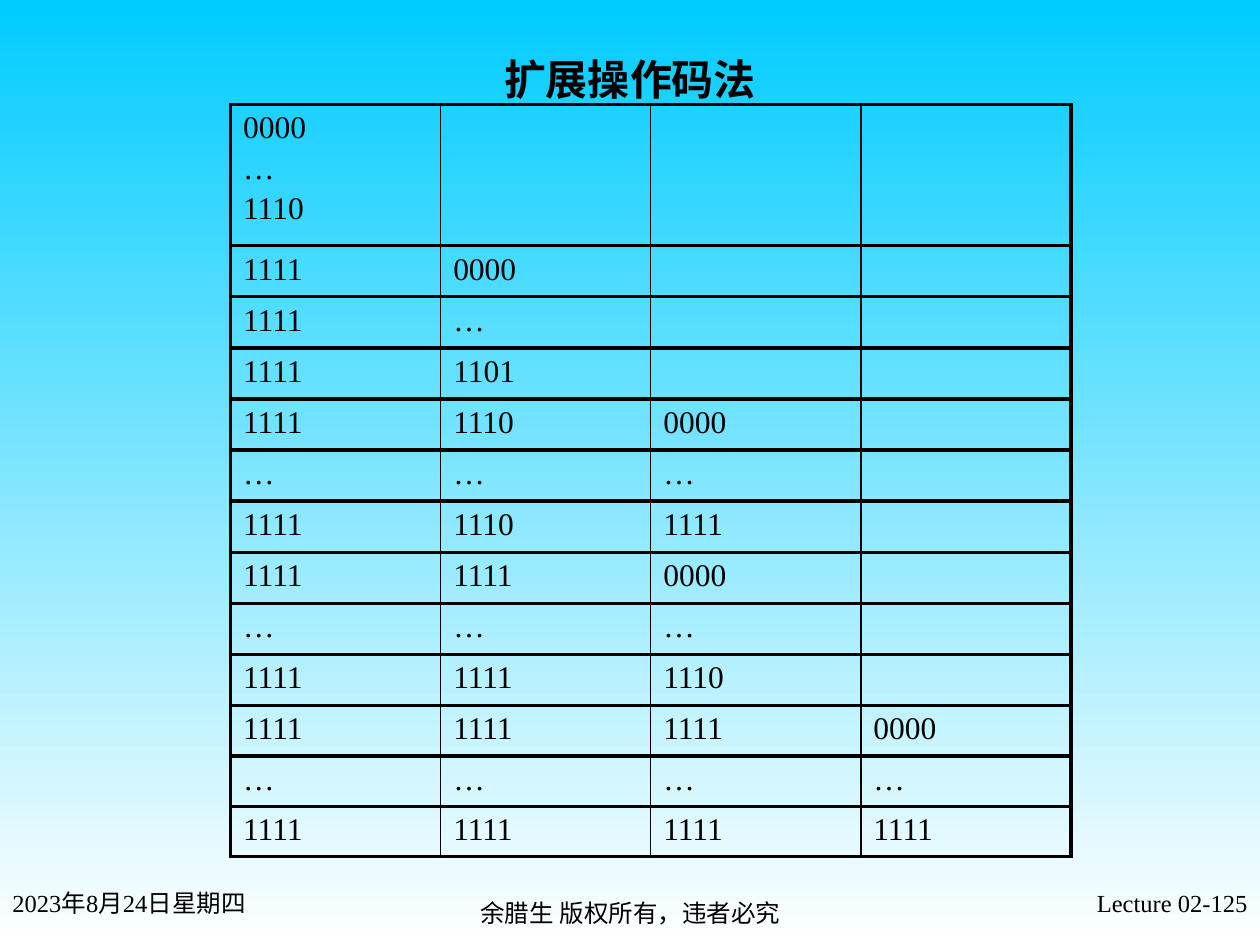
from lxml import etree
from pptx import Presentation
from pptx.dml.color import RGBColor
from pptx.enum.text import MSO_ANCHOR, PP_ALIGN
from pptx.oxml.ns import qn
from pptx.util import Inches, Pt

LEFT, CENTER, RIGHT = PP_ALIGN.LEFT, PP_ALIGN.CENTER, PP_ALIGN.RIGHT
MIDDLE = MSO_ANCHOR.MIDDLE
TITLE_ONLY_LAYOUT = 5
BLACK = "000000"
THICK, THIN = 2.25, 1

OPCODE_ROWS = [
    ["0000\n…\n1110"],
    ["1111", "0000"],
    ["1111", "…"],
    ["1111", "1101"],
    ["1111", "1110", "0000"],
    ["…"] * 3,
    ["1111", "1110", "1111"],
    ["1111", "1111", "0000"],
    ["…"] * 3,
    ["1111", "1111", "1110"],
    ["1111", "1111", "1111", "0000"],
    ["…"] * 4,
    ["1111"] * 4,
]


def color(value):
    return RGBColor.from_string(value)


class SlideBuilder:
    font_name = "Times New Roman"

    def __init__(self, slide):
        self.slide = slide

    def background(self, *colors):
        fill = self.slide.background.fill
        fill.gradient()
        fill.gradient_angle = 270
        for position, (stop, value) in enumerate(zip(fill.gradient_stops, colors)):
            stop.color.rgb = color(value)
            stop.position = position

    def set_text(self, text_frame, text, size, align=LEFT, bold=False):
        text_frame.text = text
        text_frame.word_wrap = True
        font_values = {"name": self.font_name, "size": Pt(size), "bold": bold}
        for index, paragraph in enumerate(text_frame.paragraphs):
            paragraph.alignment = align
            paragraph.space_before = Pt(3 if index else 0)
            for run in paragraph.runs:
                for name, value in font_values.items():
                    setattr(run.font, name, value)
                run.font.color.rgb = color(BLACK)

    def title(self, text, left, top, width, height):
        shape = self.slide.shapes.title
        place = {"left": left, "top": top, "width": width, "height": height}
        for name, value in place.items():
            setattr(shape, name, Inches(value))
        shape.text_frame.vertical_anchor = MIDDLE
        self.set_text(shape.text_frame, text, 24, CENTER, True)

    def footer(self, text, left, top, width, align):
        shape = self.slide.shapes.add_textbox(
            Inches(left), Inches(top), Inches(width), Inches(0.5))
        self.set_text(shape.text_frame, text, 14, align)

    def border(self, cell, side, width):
        properties = cell._tc.get_or_add_tcPr()
        line = etree.SubElement(properties, qn(f"a:{side}"), w=str(Pt(width)))
        fill = etree.SubElement(line, qn("a:solidFill"))
        etree.SubElement(fill, qn("a:srgbClr"), val=BLACK)

    def table(self, rows, column_count, left, top, width, first_height, row_height):
        heights = [first_height] + [row_height] * (len(rows) - 1)
        table = self.slide.shapes.add_table(
            len(rows), column_count, Inches(left), Inches(top),
            Inches(width), Inches(sum(heights))).table
        table.first_row = table.horz_banding = False
        for column in table.columns:
            column.width = Inches(width / column_count)
        for row, height, texts in zip(table.rows, heights, rows):
            row.height = Inches(height)
            for index, cell in enumerate(row.cells):
                borders = {
                    "lnL": THICK if index == 0 else THIN,
                    "lnR": THICK if index == column_count - 1 else THIN,
                    "lnT": THICK,
                    "lnB": THICK,
                }
                for side, line_width in borders.items():
                    self.border(cell, side, line_width)
                cell.fill.background()
                if index < len(texts):
                    self.set_text(cell.text_frame, texts[index], 18)


def main():
    presentation = Presentation()
    presentation.slide_width = Inches(10)
    presentation.slide_height = Inches(7.5)
    layout = presentation.slide_layouts[TITLE_ONLY_LAYOUT]
    builder = SlideBuilder(presentation.slides.add_slide(layout))
    builder.background("00CCFF", "FFFFFF")
    builder.title("扩展操作码法", 0.75, 0, 8.5, 1.25)
    builder.table(OPCODE_ROWS, 4, 1.83, 0.83, 6.67, 1.12, 0.4)
    builder.footer("2023年8月24日星期四", 0, 7, 2.08, LEFT)
    builder.footer("余腊生 版权所有，违者必究", 3.42, 7.08, 3.17, CENTER)
    builder.footer("Lecture 02-125", 7.92, 7, 2.08, RIGHT)
    presentation.save("out.pptx")


if __name__ == "__main__":
    main()
